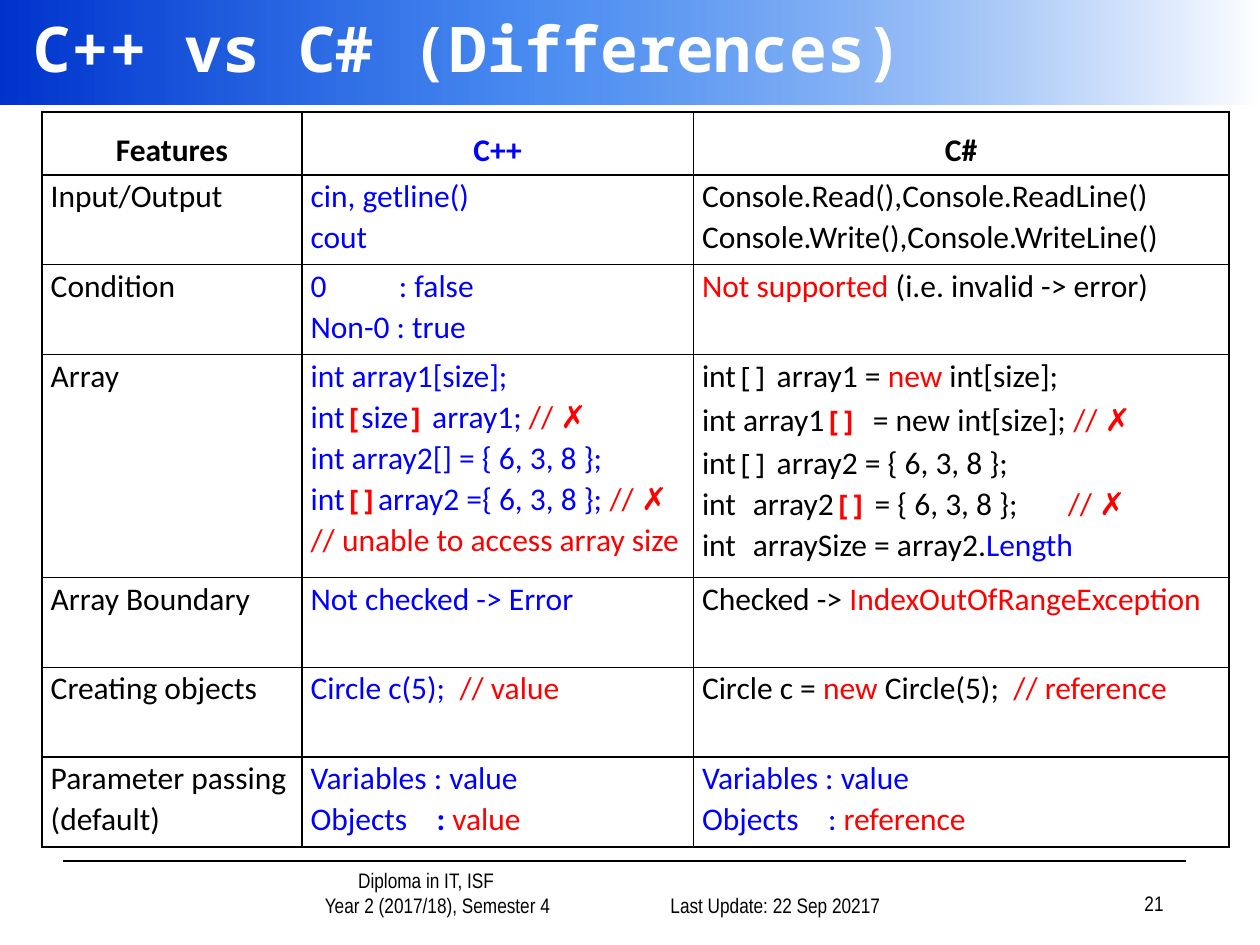
import pptx
import pptx.dml.color
import pptx.enum.shapes
import pptx.enum.text
import pptx.oxml
import pptx.oxml.ns
import pptx.util

Pt = pptx.util.Pt
RGBColor = pptx.dml.color.RGBColor
PP_ALIGN = pptx.enum.text.PP_ALIGN
MSO_ANCHOR = pptx.enum.text.MSO_ANCHOR
qn = pptx.oxml.ns.qn
NAMESPACE = pptx.oxml.ns.nsdecls("a")

COLORS = {
    "black": "000000",
    "blue": "0000FF",
    "red": "FF0000",
    "white": "FFFFFF",
    "banner_start": "0033CC",
    "banner_middle": "005EEB",
}
STYLES = {
    "black": ("Calibri", 18, "black", False),
    "large": ("Calibri", 20, "black", False),
    "blue": ("Calibri", 18, "blue", False),
    "red": ("Calibri", 18, "red", False),
    "black_head": ("Calibri", 18, "black", True),
    "blue_head": ("Calibri", 18, "blue", True),
    "black_code": ("Noto Sans Mono", 16, "black", False),
    "red_code": ("Noto Sans Mono", 16, "red", True),
    "footer": ("Arial Narrow", 12, "black", False),
    "title": ("Noto Sans Mono", 36, "white", True),
}
TAB_STOPS = [50.5, 72, 209]


def format_run(run, style):
    name, size, color, bold = STYLES[style]
    run.font.name = name
    run.font.size = Pt(size)
    run.font.bold = bold
    run.font.color.rgb = RGBColor.from_string(COLORS[color])


presentation = pptx.Presentation()
presentation.slide_width = Pt(720)
presentation.slide_height = Pt(540)
slide = presentation.slides.add_slide(presentation.slide_layouts[5])

footers = [
    (121, 498, 209, PP_ALIGN.CENTER,
     [("Diploma in IT, ISF", 36), ("Year 2 (2017/18), Semester 4", 49)]),
    (342, 498, 168, PP_ALIGN.RIGHT, [("Last Update: 22 Sep 20217", 0)]),
    (522, 497, 150, PP_ALIGN.RIGHT, [("21", 0)]),
]
for left, top, width, alignment, lines in footers:
    footer = slide.shapes.add_textbox(Pt(left), Pt(top), Pt(width), Pt(30))
    text_frame = footer.text_frame
    text_frame.word_wrap = True
    text_frame.vertical_anchor = MSO_ANCHOR.BOTTOM
    text_frame.text = "\n".join(text for text, indent in lines)
    for paragraph, (text, indent) in zip(text_frame.paragraphs, lines):
        paragraph.alignment = alignment
        paragraph._p.get_or_add_pPr().set("marL", str(Pt(indent)))
        format_run(paragraph.runs[0], "footer")

footer_line = slide.shapes.add_connector(
    pptx.enum.shapes.MSO_CONNECTOR.STRAIGHT, Pt(36), Pt(492), Pt(678), Pt(492))
footer_line.line.width = Pt(1)
footer_line.line.color.rgb = RGBColor.from_string(COLORS["black"])
footer_line._element.spPr.append(pptx.oxml.parse_xml(f"<a:effectLst {NAMESPACE}/>"))

banner = slide.shapes.add_shape(
    pptx.enum.shapes.MSO_SHAPE.RECTANGLE, 0, 0, Pt(720), Pt(60))
banner.shadow.inherit = False
banner.line.fill.background()
banner.fill.gradient()
banner.fill.gradient_angle = 0
stop_list = banner._element.spPr.find(qn("a:gradFill")).find(qn("a:gsLst"))
for stop in list(stop_list):
    stop_list.remove(stop)
for position, color, opacity in [
        (0, "banner_start", 100), (43, "banner_middle", 70), (100, "white", 100)]:
    stop_list.append(pptx.oxml.parse_xml(
        f'<a:gs {NAMESPACE} pos="{position * 1000}"><a:srgbClr val="{COLORS[color]}">'
        f'<a:alpha val="{opacity * 1000}"/></a:srgbClr></a:gs>'))

title = slide.shapes.title
title.left, title.top, title.width, title.height = Pt(12), Pt(0), Pt(708), Pt(54)
title.text_frame.text = "C++ vs C# (Differences)"
title.text_frame.vertical_anchor = MSO_ANCHOR.MIDDLE
title.text_frame.paragraphs[0].alignment = PP_ALIGN.LEFT
format_run(title.text_frame.paragraphs[0].runs[0], "title")
slide.shapes._spTree.append(title._element)

rows = [
    (36, [[[("black_head", "Features")]], [[("blue_head", "C++")]], [[("black_head", "C#")]]]),
    (51.3, [
        [[("black", "Input/Output")]],
        [[("blue", "cin, getline()")], [("blue", "cout")]],
        [[("black", "Console.Read(),Console.ReadLine()")],
         [("black", "Console.Write(),Console.WriteLine()")]],
    ]),
    (51.3, [
        [[("black", "Condition")]],
        [[("blue", "0\t: false")], [("blue", "Non-0 : true")]],
        [[("red", "Not supported "), ("black", "(i.e. invalid -> error)")]],
    ]),
    (127.5, [
        [[("black", "Array")]],
        [[("blue", "int array1[size];")],
         [("blue", "int"), ("red_code", "["), ("blue", "size"), ("red_code", "]"),
          ("blue", " array1; "), ("red", "// ✗")],
         [("blue", "int array2[] = { 6, 3, 8 };")],
         [("blue", "int"), ("red_code", "[]"), ("blue", "array2 ={ 6, 3, 8 }; "),
          ("red", "// ✗")],
         [("red", "// unable to access array size")]],
        [[("black", "int"), ("black_code", "[]"), ("black", " array1 = "), ("red", "new"),
          ("black", " int[size];")],
         [("black", "int array1"), ("red_code", "[]"), ("large", " "),
          ("black", " = new int[size]; "), ("red", "// ✗")],
         [("black", "int"), ("black_code", "[]"), ("black", " array2 = { 6, 3, 8 };")],
         [("black", "int"), ("black_code", " "), ("black", "array2"), ("red_code", "[]"),
          ("black", " = { 6, 3, 8 };\t"), ("red", "// ✗")],
         [("black", "int"), ("black_code", " "), ("black", "arraySize = array2."),
          ("blue", "Length")]],
    ]),
    (51.3, [
        [[("black", "Array Boundary")]],
        [[("blue", "Not checked -> Error")]],
        [[("black", "Checked -> "), ("red", "IndexOutOfRangeException")]],
    ]),
    (51.3, [
        [[("black", "Creating objects")]],
        [[("blue", "Circle c(5);  "), ("red", "// value")]],
        [[("black", "Circle c = "), ("red", "new"), ("black", " Circle(5);  "),
          ("red", "// reference")]],
    ]),
    (51.3, [
        [[("black", "Parameter passing")], [("black", "(default)")]],
        [[("blue", "Variables : value")],
         [("blue", "Objects\t"), ("blue_head", ": "), ("red", "value")]],
        [[("blue", "Variables : value")], [("blue", "Objects\t: "), ("red", "reference")]],
    ]),
]
column_widths = [148.5, 223.7, 306]

table = slide.shapes.add_table(
    len(rows), len(column_widths), Pt(24), Pt(64), Pt(sum(column_widths)),
    Pt(sum(height for height, cells in rows))).table
table.horz_banding = False
table.first_row = False
for column, width in zip(table.columns, column_widths):
    column.width = Pt(width)

for row_index, (height, cells) in enumerate(rows):
    table.rows[row_index].height = Pt(height)
    for column_index, paragraphs in enumerate(cells):
        cell = table.cell(row_index, column_index)
        cell.margin_left = cell.margin_right = Pt(5)
        cell.margin_top = cell.margin_bottom = 0
        cell.fill.background()
        cell_properties = cell._tc.get_or_add_tcPr()
        for index, side in enumerate("LRTB"):
            cell_properties.insert(index, pptx.oxml.parse_xml(
                f'<a:ln{side} {NAMESPACE} w="{Pt(1)}"><a:solidFill>'
                f'<a:srgbClr val="{COLORS["black"]}"/></a:solidFill></a:ln{side}>'))
        cell.text_frame.text = "\n" * (len(paragraphs) - 1)
        for paragraph, segments in zip(cell.text_frame.paragraphs, paragraphs):
            paragraph.line_spacing = 1.07
            if row_index == 0:
                paragraph.alignment = PP_ALIGN.CENTER
                paragraph.line_spacing = 1.5
                paragraph.space_after = Pt(6)
            if any("\t" in text for style, text in segments):
                stops = "".join(f'<a:tab pos="{Pt(stop)}" algn="l"/>' for stop in TAB_STOPS)
                paragraph._p.get_or_add_pPr().append(
                    pptx.oxml.parse_xml(f"<a:tabLst {NAMESPACE}>{stops}</a:tabLst>"))
            for style, text in segments:
                run = paragraph.add_run()
                run.text = text
                format_run(run, style)

presentation.save("out.pptx")
